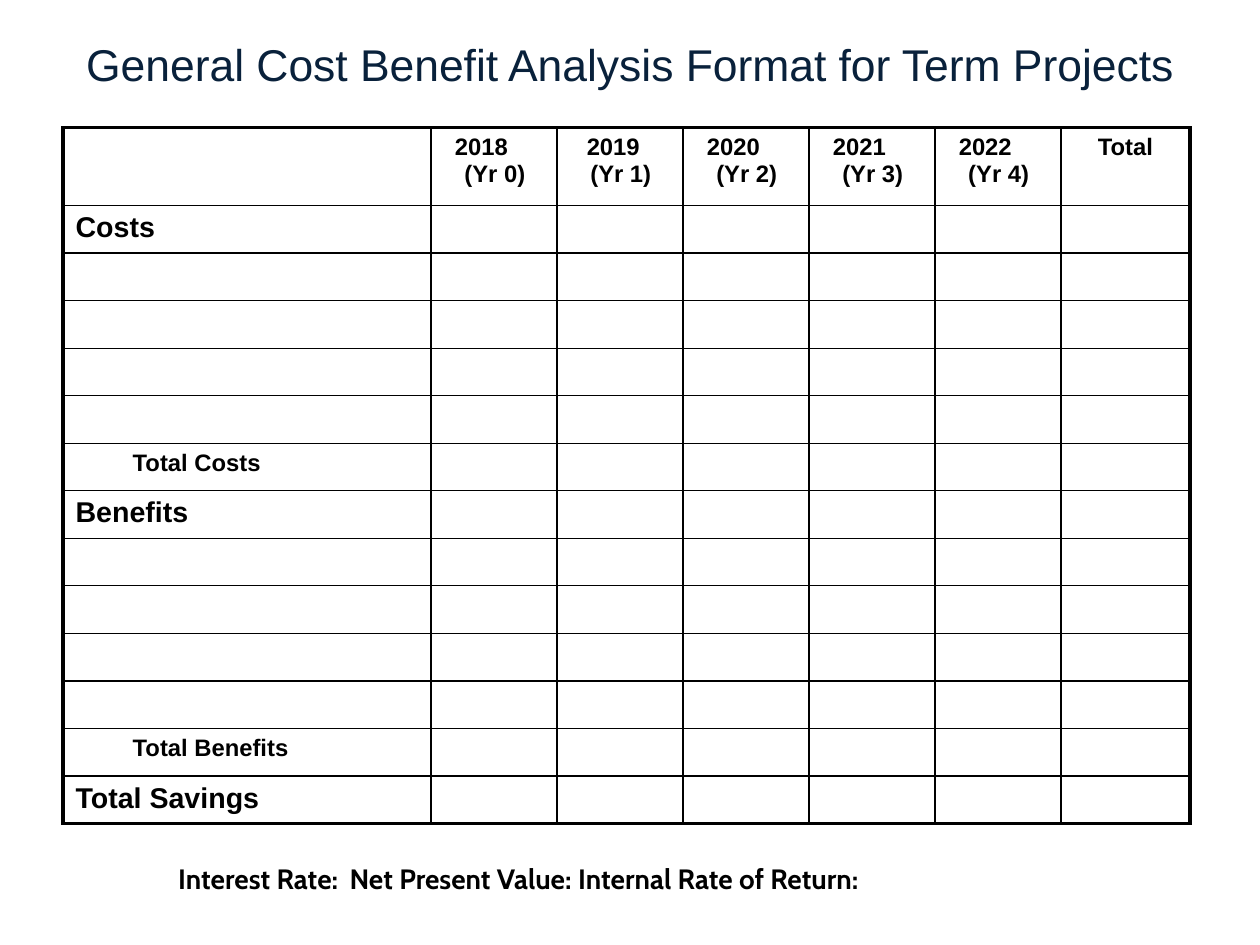
from dataclasses import dataclass
from typing import Any

from lxml import etree
from pptx import Presentation
from pptx.dml.color import RGBColor
from pptx.enum.text import MSO_ANCHOR, MSO_AUTO_SIZE, PP_ALIGN
from pptx.oxml.ns import qn
from pptx.util import Cm, Length, Pt

LEFT, CENTER = PP_ALIGN.LEFT, PP_ALIGN.CENTER
BOTTOM = MSO_ANCHOR.BOTTOM
NO_AUTOFIT = MSO_AUTO_SIZE.NONE
TITLE_ONLY_LAYOUT = 5


@dataclass(frozen=True)
class TextStyle:
    """Font, size, colour and weight of a run."""
    font: str
    size: float
    color: str
    bold: bool = True


@dataclass(frozen=True)
class Theme:
    """Text styles and line weights of the slide."""
    title: TextStyle = TextStyle("Arial", 28, "09213B", False)
    section: TextStyle = TextStyle("Arial", 18, "000000")
    label: TextStyle = TextStyle("Arial", 15, "000000")
    summary: TextStyle = TextStyle("Cabin", 17.6, "000000")
    line_color: str = "000000"
    inner_line: Length = Pt(1)
    outer_line: Length = Pt(2.25)


@dataclass(frozen=True)
class CellText:
    """Lines of a cell; indents are those of the first and later lines."""
    lines: tuple[str, ...]
    style: TextStyle
    alignment: PP_ALIGN = LEFT
    first_indent: float = 0
    later_indent: float = 0


THEME = Theme()
SIDE_INSET, END_INSET = Cm(0.28), Cm(0.14)
FIRST_YEAR, YEAR_COUNT = 2018, 5
YEAR_INDENT, NARROW_YEAR, NARROW_INDENT = 0.25, 2019, 0.38
COLUMN_WIDTHS = [Cm(8.18)] + [Cm(2.8)] * YEAR_COUNT + [Cm(2.87)]
ITEM_ROWS = 4
HEADER_HEIGHT, ROW_HEIGHT = Cm(1.73), Cm(1.03)
SUMMARY = "Interest Rate:\tNet Present Value:\tInternal Rate of Return:"
SUMMARY_TABS = (Cm(3.81), Cm(8.89))


def add_run(paragraph: Any, text: str, style: TextStyle) -> None:
    """Add one styled run to a paragraph."""
    run = paragraph.add_run()
    run.text = text
    run.font.name = style.font
    run.font.size = Pt(style.size)
    run.font.bold = style.bold
    run.font.color.rgb = RGBColor.from_string(style.color)


def set_insets(frame: Any) -> None:
    """Set the margins shared by the title and the cells."""
    frame.margin_left = frame.margin_right = SIDE_INSET
    frame.margin_top = frame.margin_bottom = END_INSET


def add_title(slide: Any) -> None:
    """Fill and place the title placeholder."""
    title = slide.shapes.title
    title.left, title.top = Cm(0.66), Cm(-1.35)
    title.width, title.height = Cm(26.67), Cm(3.5)
    frame = title.text_frame
    frame.auto_size, frame.vertical_anchor = NO_AUTOFIT, BOTTOM
    set_insets(frame)
    paragraph = frame.paragraphs[0]
    paragraph.alignment = CENTER
    add_run(paragraph, "General Cost Benefit Analysis Format for Term Projects",
            THEME.title)


def header_texts() -> dict[int, CellText]:
    """Return the heading of each column after the first."""
    headers = {}
    for index in range(YEAR_COUNT):
        year = FIRST_YEAR + index
        indent = NARROW_INDENT if year == NARROW_YEAR else YEAR_INDENT
        headers[index + 1] = CellText((str(year), f"(Yr {index})"), THEME.label,
                                      LEFT, indent, 0.46)
    headers[YEAR_COUNT + 1] = CellText(("Total",), THEME.label, CENTER)
    return headers


def row_labels() -> list[CellText | None]:
    """Return the first column below the header, None for item rows."""
    labels: list[CellText | None] = []
    for section in ("Costs", "Benefits"):
        labels.append(CellText((section,), THEME.section))
        labels += [None] * ITEM_ROWS
        labels.append(CellText((f"Total {section}",), THEME.label, LEFT, 1.27, 1.27))
    return labels + [CellText(("Total Savings",), THEME.section)]


def write_cell(cell: Any, content: CellText) -> None:
    """Write the lines of a cell with their indents."""
    paragraph = cell.text_frame.paragraphs[0]
    paragraph.alignment = content.alignment
    properties = paragraph._p.get_or_add_pPr()
    properties.set("marL", str(Cm(content.later_indent)))
    properties.set("indent", str(Cm(content.first_indent - content.later_indent)))
    for index, line in enumerate(content.lines):
        if index:
            paragraph.add_line_break()
        add_run(paragraph, line, content.style)


def draw_borders(cell: Any, outer_sides: dict[str, bool]) -> None:
    """Draw the four borders, heavier on the outer sides."""
    properties = cell._tc.get_or_add_tcPr()
    for side, is_outer in outer_sides.items():
        width = THEME.outer_line if is_outer else THEME.inner_line
        line = etree.SubElement(properties, qn(f"a:ln{side}"), w=str(width))
        fill = etree.SubElement(line, qn("a:solidFill"))
        etree.SubElement(fill, qn("a:srgbClr"), val=THEME.line_color)


def add_cost_table(slide: Any) -> None:
    """Add the cost and benefit table."""
    labels = row_labels()
    heights = [HEADER_HEIGHT] + [ROW_HEIGHT] * len(labels)
    last_row, last_column = len(heights) - 1, len(COLUMN_WIDTHS) - 1
    table = slide.shapes.add_table(len(heights), len(COLUMN_WIDTHS), Cm(1.4), Cm(2.84),
                                   sum(COLUMN_WIDTHS), sum(heights)).table
    table.first_row = table.horz_banding = False
    for column, width in zip(table.columns, COLUMN_WIDTHS):
        column.width = width
    contents = {(0, column): text for column, text in header_texts().items()}
    contents |= {(row, 0): text for row, text in enumerate(labels, 1) if text}
    for row, height in enumerate(heights):
        table.rows[row].height = height
        for column in range(len(COLUMN_WIDTHS)):
            cell = table.cell(row, column)
            set_insets(cell)
            draw_borders(cell, {"L": column == 0, "R": column == last_column,
                                "T": row == 0, "B": row == last_row})
            cell.fill.background()
            if (row, column) in contents:
                write_cell(cell, contents[row, column])


def add_summary(slide: Any) -> None:
    """Add the line of financial measures, set on tab stops."""
    box = slide.shapes.add_textbox(Cm(3.71), Cm(19.02), Cm(24.26), Cm(1.02))
    box.text_frame.word_wrap = True
    paragraph = box.text_frame.paragraphs[0]
    tabs = etree.SubElement(paragraph._p.get_or_add_pPr(), qn("a:tabLst"))
    for position in SUMMARY_TABS:
        etree.SubElement(tabs, qn("a:tab"), pos=str(position), algn="l")
    add_run(paragraph, SUMMARY, THEME.summary)


def main() -> None:
    """Build and save the presentation."""
    presentation = Presentation()
    presentation.slide_width, presentation.slide_height = Cm(28), Cm(21)
    slide = presentation.slides.add_slide(presentation.slide_layouts[TITLE_ONLY_LAYOUT])
    add_title(slide)
    add_cost_table(slide)
    add_summary(slide)
    presentation.save("out.pptx")


main()
